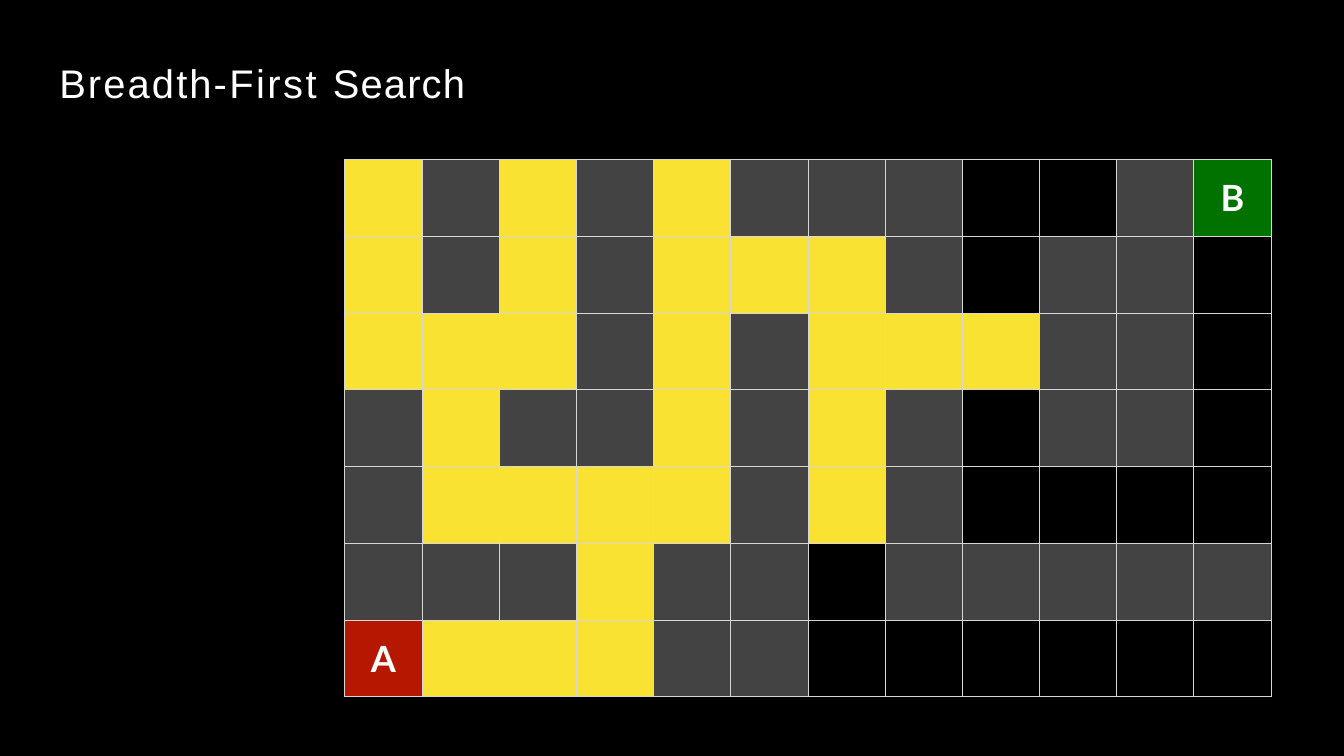
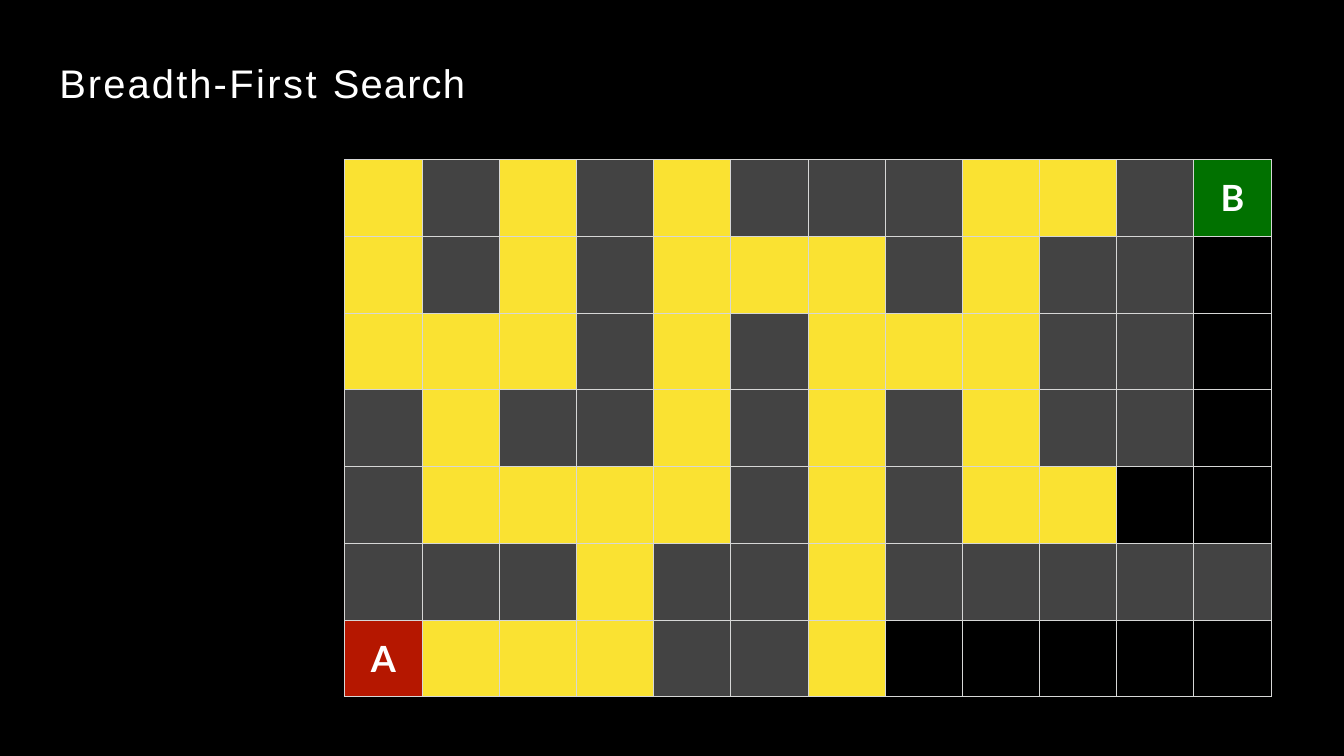
from lxml import etree
from pptx import Presentation
from pptx.dml.color import RGBColor
from pptx.enum.text import MSO_ANCHOR, MSO_AUTO_SIZE, PP_ALIGN
from pptx.oxml.ns import qn
from pptx.util import Inches, Pt

TOP, MIDDLE = MSO_ANCHOR.TOP, MSO_ANCHOR.MIDDLE
LEFT, CENTER = PP_ALIGN.LEFT, PP_ALIGN.CENTER
NO_FIT = MSO_AUTO_SIZE.NONE

BLACK = RGBColor(0x00, 0x00, 0x00)
WHITE = RGBColor(0xFF, 0xFF, 0xFF)
WALL = RGBColor(0x43, 0x43, 0x43)
EXPLORED = RGBColor(0xFA, 0xE2, 0x32)
START = RGBColor(0xB5, 0x17, 0x00)
GOAL = RGBColor(0x01, 0x71, 0x00)
GRID_LINE = RGBColor(0xD6, 0xD7, 0xD6)

# Content: title runs with letter spacing in points
TITLE = [("Breadth-", 2.5), ("First ", 2.9), ("Search", 1.4)]

# Content: # wall, . open, A start, B goal, digit = step at which a cell is explored
MAZE = [
    "1#1#1###22#B",
    "1#1#111#2##.",
    "111#1#111##.",
    "#1##1#1#2##.",
    "#1111#1#22..",
    "###1##2#####",
    "A111##2.....",
]
STEPS = [1, 2]
FIXED_FILLS = {"#": WALL, "A": START, "B": GOAL}
LETTER_SPACING = {"A": 4.2, "B": 1.2}

# Layout, in inches
SLIDE_W, SLIDE_H = 21.99, 12.37
TITLE_BOX = (0.68, 0.43, 12.93, 1.78)
MAZE_BOX = (5.64, 2.61, 15.16, 8.79)

TITLE_FONT = {"name": "Arial", "size": Pt(47), "bold": False}
LETTER_FONT = {"name": "Lato", "size": Pt(42.5), "bold": True}
TITLE_FRAME = {"margin_left": Inches(0.29), "margin_top": Inches(0.53),
               "margin_right": 0, "margin_bottom": 0, "word_wrap": True,
               "auto_size": NO_FIT, "vertical_anchor": TOP}
CELL_FRAME = {"margin_left": 0, "margin_top": 0, "margin_right": 0,
              "margin_bottom": 0, "vertical_anchor": MIDDLE}


def apply(target, values):
    for key, value in values.items():
        setattr(target, key, value)


def add_run(paragraph, text, font, spacing):
    run = paragraph.add_run()
    run.text = text
    apply(run.font, font)
    run.font.color.rgb = WHITE
    run.font._element.set("spc", str(round(spacing * 100)))


def add_title(slide):
    title = slide.shapes.title
    title.left, title.top, title.width, title.height = map(Inches, TITLE_BOX)
    apply(title.text_frame, TITLE_FRAME)
    paragraph = title.text_frame.paragraphs[0]
    paragraph.alignment = LEFT
    for text, spacing in TITLE:
        add_run(paragraph, text, TITLE_FONT, spacing)


def outline(cell):
    properties = cell._tc.get_or_add_tcPr()
    for side in ("lnL", "lnR", "lnT", "lnB"):
        line = etree.SubElement(properties, qn(f"a:{side}"), w=str(Pt(1)))
        fill = etree.SubElement(line, qn("a:solidFill"))
        etree.SubElement(fill, qn("a:srgbClr"), val=str(GRID_LINE))


def cell_color(mark, step):
    if mark.isdigit():
        return EXPLORED if int(mark) <= step else None
    return FIXED_FILLS.get(mark)


def add_maze(slide, step):
    rows, columns = len(MAZE), len(MAZE[0])
    maze = slide.shapes.add_table(rows, columns, *map(Inches, MAZE_BOX)).table
    maze.first_row = maze.horz_banding = False
    for r, marks in enumerate(MAZE):
        for c, mark in enumerate(marks):
            cell = maze.cell(r, c)
            outline(cell)
            apply(cell, CELL_FRAME)
            color = cell_color(mark, step)
            if color is None:
                cell.fill.background()
            else:
                cell.fill.solid()
                cell.fill.fore_color.rgb = color
            if mark in LETTER_SPACING:
                paragraph = cell.text_frame.paragraphs[0]
                paragraph.alignment = CENTER
                add_run(paragraph, mark, LETTER_FONT, LETTER_SPACING[mark])


def main():
    prs = Presentation()
    prs.slide_width, prs.slide_height = Inches(SLIDE_W), Inches(SLIDE_H)

    # Shared black background
    backdrop = prs.slide_master.background.fill
    backdrop.solid()
    backdrop.fore_color.rgb = BLACK

    # One slide per search step
    title_only = prs.slide_layouts[5]
    for step in STEPS:
        slide = prs.slides.add_slide(title_only)
        add_maze(slide, step)
        add_title(slide)
    prs.save("out.pptx")


if __name__ == "__main__":
    main()
